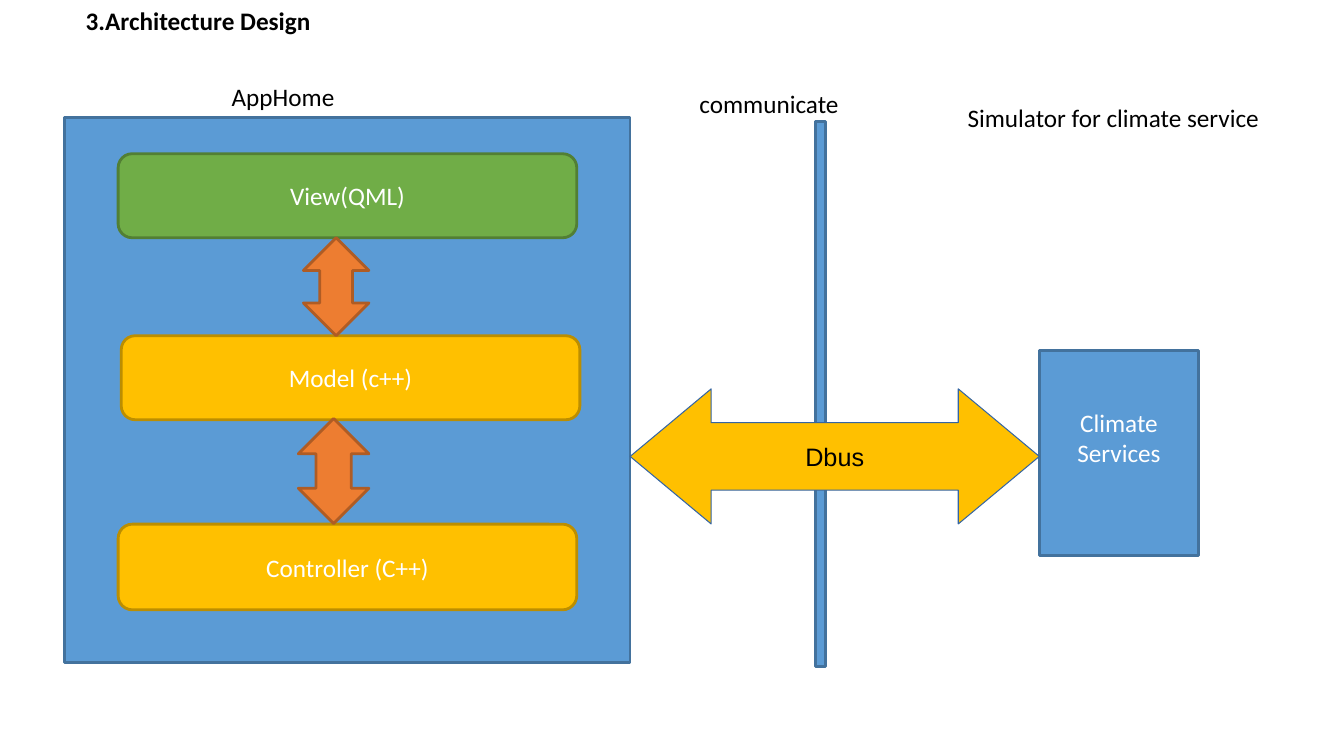
import pptx
import pptx.dml.color
import pptx.enum.shapes
import pptx.enum.text
import pptx.util

Pt = pptx.util.Pt
RGBColor = pptx.dml.color.RGBColor
Shape = pptx.enum.shapes.MSO_SHAPE
Align = pptx.enum.text.PP_ALIGN
Anchor = pptx.enum.text.MSO_ANCHOR

BLACK = RGBColor(0x00, 0x00, 0x00)
WHITE = RGBColor(0xFF, 0xFF, 0xFF)
BLUE = RGBColor(0x5B, 0x9B, 0xD5)
BLUE_EDGE = RGBColor(0x43, 0x72, 0x9D)
GREEN = RGBColor(0x70, 0xAD, 0x47)
GREEN_EDGE = RGBColor(0x52, 0x7F, 0x34)
GOLD = RGBColor(0xFF, 0xC0, 0x00)
GOLD_EDGE = RGBColor(0xBC, 0x8E, 0x00)
ORANGE = RGBColor(0xED, 0x7D, 0x31)
ORANGE_EDGE = RGBColor(0xAF, 0x5C, 0x24)
DBUS_EDGE = RGBColor(0x34, 0x65, 0xA4)


def write_text(shape, text, color=WHITE, font="Calibri", bold=False,
               align=Align.CENTER, anchor=Anchor.MIDDLE, wrap=True,
               left_inset=7.2, bottom_inset=3.6):
    """Fill a shape with text, one paragraph per line."""
    frame = shape.text_frame
    frame.word_wrap = wrap
    frame.vertical_anchor = anchor
    frame.margin_left = Pt(left_inset)
    frame.margin_bottom = Pt(bottom_inset)
    frame.text = text
    for paragraph in frame.paragraphs:
        paragraph.alignment = align
        paragraph.font.size = Pt(18)
        paragraph.font.name = font
        paragraph.font.bold = bold
        paragraph.font.color.rgb = color


def add_label(slide, text, left, top, width, height, **text_format):
    box = slide.shapes.add_textbox(Pt(left), Pt(top), Pt(width), Pt(height))
    write_text(box, text, color=BLACK, align=Align.LEFT, anchor=Anchor.TOP,
               **text_format)


def add_block(slide, kind, left, top, width, height, fill, edge,
              edge_width=2, adjustments=()):
    shape = slide.shapes.add_shape(kind, Pt(left), Pt(top), Pt(width), Pt(height))
    shape.shadow.inherit = False
    shape.fill.solid()
    shape.fill.fore_color.rgb = fill
    shape.line.color.rgb = edge
    shape.line.width = Pt(edge_width)
    for index, value in enumerate(adjustments):
        shape.adjustments[index] = value
    return shape


def main():
    presentation = pptx.Presentation()
    presentation.slide_width = Pt(960)
    presentation.slide_height = Pt(540)
    slide = presentation.slides.add_slide(presentation.slide_layouts[6])

    # Title
    add_label(slide, "3.Architecture Design", 54, 0, 843, 50.4, bold=True)

    # Application panel with its three layers
    add_block(slide, Shape.RECTANGLE, 46.1, 83.8, 404, 389.5, BLUE, BLUE_EDGE)
    layers = [
        ("View(QML)", 84.4, 109.8, 60, GREEN, GREEN_EDGE),
        ("Model (c++)", 86.6, 239.8, 60, GOLD, GOLD_EDGE),
        ("Controller (C++)", 84.4, 374.4, 61.2, GOLD, GOLD_EDGE),
    ]
    for text, left, top, height, fill, edge in layers:
        layer = add_block(slide, Shape.ROUNDED_RECTANGLE, left, top, 327.6,
                          height, fill, edge)
        write_text(layer, text)

    # Communication bar and service
    add_block(slide, Shape.RECTANGLE, 582.4, 86.6, 7.2, 389.5, BLUE, BLUE_EDGE)
    service = add_block(slide, Shape.RECTANGLE, 742.4, 250.4, 113.8, 146.2,
                        BLUE, BLUE_EDGE)
    write_text(service, "Climate\nServices", bottom_inset=25.6)

    # Labels above the parts
    add_label(slide, "communicate", 492.5, 59.8, 137.5, 28.8)
    add_label(slide, "AppHome", 133.9, 54.7, 191.5, 28.8, left_inset=31.6)
    add_label(slide, "Simulator for climate service", 684, 69.3, 257.8, 50.4)

    # Arrows between the layers
    for left, top, width, height in [(216.7, 169.8, 46.8, 70),
                                     (213.1, 299, 50.4, 75)]:
        add_block(slide, Shape.UP_DOWN_ARROW, left, top, width, height,
                  ORANGE, ORANGE_EDGE, adjustments=(0.5, 0.5))

    # Bus between application and service
    bus = add_block(slide, Shape.LEFT_RIGHT_ARROW, 450.1, 277.8, 292.3, 96.5,
                    GOLD, DBUS_EDGE, edge_width=0.75, adjustments=(0.5, 0.6))
    write_text(bus, "Dbus", color=BLACK, font="Arial", wrap=False)

    presentation.save("out.pptx")


if __name__ == "__main__":
    main()
